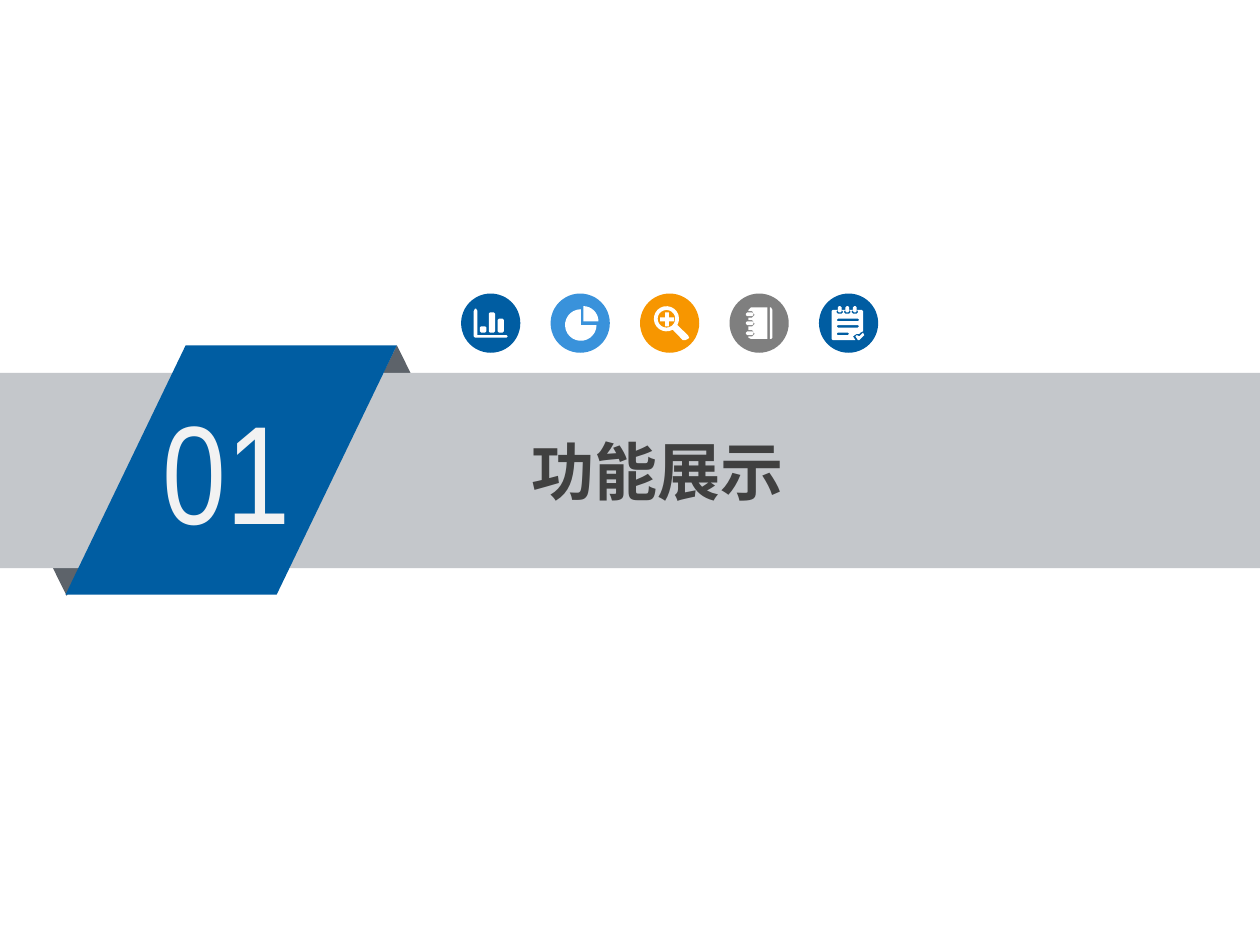
import math

import pptx
import pptx.util
import pptx.dml.color
import pptx.enum.shapes
import pptx.enum.text
import pptx.oxml.ns
import lxml.etree

Inches = pptx.util.Inches
RGB = pptx.dml.color.RGBColor.from_string
SHAPE = pptx.enum.shapes.MSO_SHAPE
C = {"blue": "005DA2", "sky": "3992DB", "orange": "F79600", "gray": "7F7F7F",
     "band": "C4C7CB", "fold": "5D636A", "white": "FFFFFF",
     "number": "F2F2F2", "title": "404040"}


def arc(cx, cy, radius, start, end, steps=20):
    """Points along an arc, clockwise, with angles in degrees."""
    angles = [math.radians(start + (end - start) * i / steps) for i in range(steps + 1)]
    return [(cx + radius * math.cos(a), cy + radius * math.sin(a)) for a in angles]


def bar(x, y, w, h, c=0.01):
    """Outline of a rectangle with its corners cut by c."""
    r, b = x + w, y + h
    return [(x + c, y), (r - c, y), (r, y + c), (r, b - c),
            (r - c, b), (x + c, b), (x, b - c), (x, y + c)]


prs = pptx.Presentation()
prs.slide_width, prs.slide_height = Inches(10), Inches(7.5)
s = prs.slides.add_slide(prs.slide_layouts[5])

# Ribbon folded around the band
for kind, x, y, w, h, color in [
    (SHAPE.ISOSCELES_TRIANGLE, 2.7, 2.74, 0.9, 0.91, "fold"),
    (SHAPE.ISOSCELES_TRIANGLE, 0.08, 3.82, 0.9, 0.91, "fold"),
    (SHAPE.RECTANGLE, 0, 2.96, 10, 1.55, "band"),
    (SHAPE.PARALLELOGRAM, 0.52, 2.74, 2.63, 1.98, "blue"),
]:
    sp = s.shapes.add_shape(kind, Inches(x), Inches(y), Inches(w), Inches(h))
    sp.shadow.inherit = False
    sp.fill.solid()
    sp.fill.fore_color.rgb = RGB(C[color])
    sp.line.fill.background()
    if kind == SHAPE.PARALLELOGRAM:
        sp.adjustments[0] = 0.482
    if y == 3.82:
        sp._element.spPr.get_or_add_xfrm().set("flipV", "1")

# Section number and title
number = s.shapes.add_textbox(0, 0, 0, 0)
title = s.shapes.title
title._element.getparent().append(title._element)  # bring above the band
for sp, at, text, size, font, color, inset, bold in [
    (number, (1.22, 3.01, 1.45, 1.42), "01", 80, "Arial Narrow", "number", 0.07, False),
    (title, (4.14, 3.39, 2.35, 0.68), "功能展示", 36, "Noto Sans CJK SC", "title", 0.08, True),
]:
    sp.left, sp.top, sp.width, sp.height = [Inches(v) for v in at]
    tf = sp.text_frame
    tf.word_wrap = True
    tf.auto_size = pptx.enum.text.MSO_AUTO_SIZE.NONE
    tf.vertical_anchor = pptx.enum.text.MSO_ANCHOR.MIDDLE
    tf.margin_left = tf.margin_right = Inches(inset)
    tf.margin_top = tf.margin_bottom = Inches(0.04)
    p = tf.paragraphs[0]
    p.alignment = pptx.enum.text.PP_ALIGN.LEFT
    r = p.add_run()
    r.text = text
    r.font.size = pptx.util.Pt(size)
    r.font.name = font
    r.font.bold = bold
    r.font.color.rgb = RGB(C[color])
    ea = lxml.etree.SubElement(r.font._element, pptx.oxml.ns.qn("a:ea"))
    ea.set("typeface", font)

# Icon outlines: a contour inside another one cuts a hole
axes = [(3.77, 2.45), (3.78, 2.45), (3.79, 2.47), (3.79, 2.66), (4.02, 2.66),
        (4.03, 2.67), (4.02, 2.68), (3.77, 2.68), (3.76, 2.67), (3.76, 2.47)]
chart = [axes] + [bar(x, top, 0.05, 2.64 - top)
                  for x, top in [(3.95, 2.53), (3.88, 2.48), (3.81, 2.59)]]

pie = [[(4.63, 2.55)] + arc(4.63, 2.55, 0.12, -90, 0, 8),
       [(4.61, 2.58)] + arc(4.61, 2.58, 0.125, 0, 270)]

lens = arc(5.29, 2.53, 0.1, 60, 390)
handle = [(5.46, 2.66), (5.47, 2.68), (5.46, 2.69), (5.44, 2.7), (5.42, 2.7)]
plus = [(5.28, 2.48), (5.31, 2.48), (5.31, 2.52), (5.35, 2.52), (5.35, 2.55), (5.31, 2.55),
        (5.31, 2.59), (5.28, 2.59), (5.28, 2.55), (5.24, 2.55), (5.24, 2.52), (5.28, 2.52)]
magnifier = [lens + handle, arc(5.29, 2.53, 0.07, 0, 360), plus]

cover = [(5.96, 2.44), (6.09, 2.44), (6.09, 2.69), (5.96, 2.69), (5.94, 2.68)]
rings = []
for y in (2.62, 2.54, 2.47):
    cover += [(5.94, y + 0.05), (5.97, y + 0.05), (5.99, y + 0.03), (5.97, y), (5.94, y)]
    rings.append(bar(5.92, y + 0.01, 0.06, 0.03))
cover.append((5.94, 2.46))
spine = [(6.11, 2.44), (6.12, 2.44), (6.13, 2.46), (6.13, 2.68), (6.12, 2.69), (6.11, 2.69)]
notebook = [spine, cover] + rings

page = [(6.61, 2.46), (6.84, 2.46), (6.85, 2.47), (6.85, 2.63), (6.83, 2.64), (6.82, 2.65),
        (6.8, 2.65), (6.77, 2.67), (6.79, 2.7), (6.61, 2.7), (6.6, 2.69), (6.6, 2.47)]
check = [(6.8, 2.66), (6.82, 2.67), (6.85, 2.64), (6.86, 2.66), (6.82, 2.7), (6.81, 2.7),
         (6.79, 2.67)]
notepad = [check, page]
for x in (6.64, 6.7, 6.76):
    notepad += [bar(x, 2.46, 0.05, 0.03), bar(x + 0.01, 2.43, 0.03, 0.05)]
for y, w in [(2.53, 0.18), (2.58, 0.18), (2.64, 0.1)]:
    notepad.append(bar(6.64, y, w, 0.02))

# Discs, each with its icon
for i, (color, contours) in enumerate([("blue", chart), ("sky", pie), ("orange", magnifier),
                                       ("gray", notebook), ("blue", notepad)]):
    disc = s.shapes.add_shape(SHAPE.OVAL, Inches(3.66 + 0.71 * i), Inches(2.33),
                              Inches(0.47), Inches(0.47))
    outlines = [[(Inches(x), Inches(y)) for x, y in contour] for contour in contours]
    fb = s.shapes.build_freeform(*outlines[0][0], scale=1.0)
    fb.add_line_segments(outlines[0][1:])
    for outline in outlines[1:]:
        fb.move_to(*outline[0])
        fb.add_line_segments(outline[1:])
    for sp, fill in [(disc, color), (fb.convert_to_shape(), "white")]:
        sp.shadow.inherit = False
        sp.fill.solid()
        sp.fill.fore_color.rgb = RGB(C[fill])
        sp.line.fill.background()

prs.save("out.pptx")
